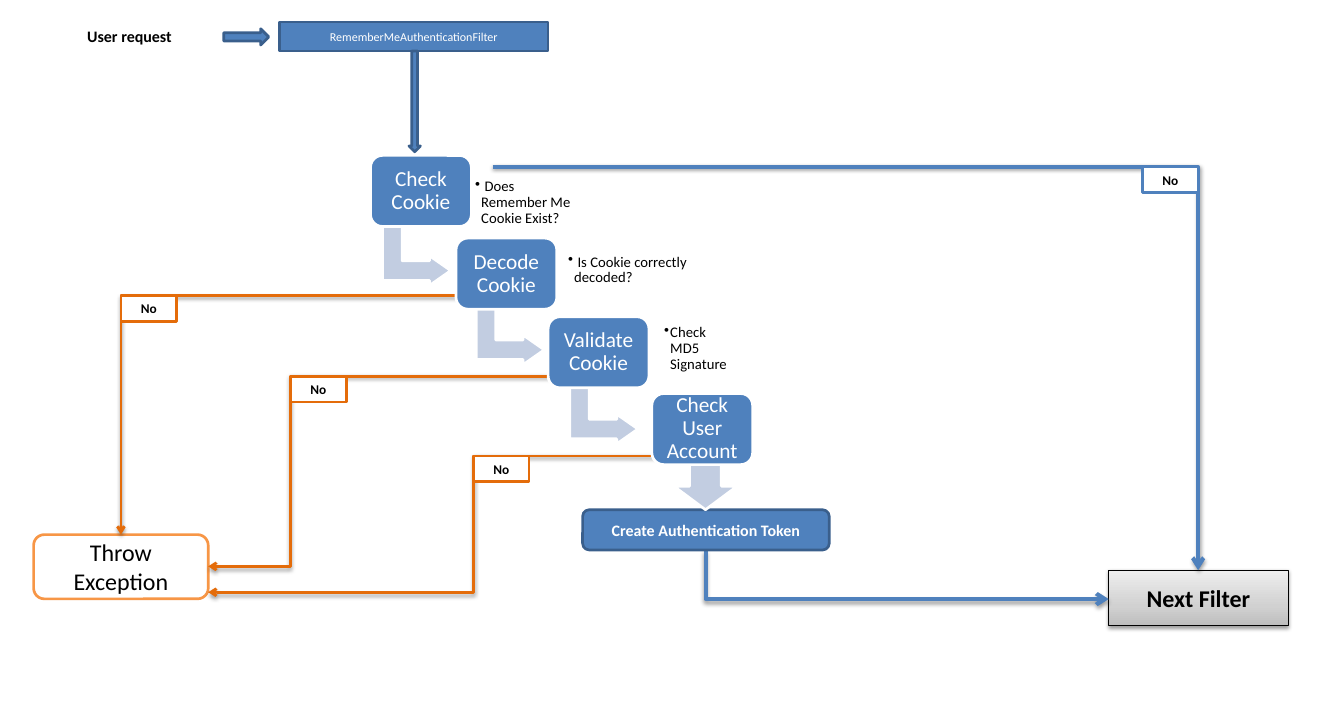
from copy import deepcopy
from pptx import Presentation
from pptx.dml.color import RGBColor as RGB
from pptx.enum.shapes import MSO_CONNECTOR as Link, MSO_SHAPE as Kind
from pptx.enum.text import MSO_ANCHOR as Anchor, PP_ALIGN as Align
from pptx.oxml import parse_xml
from pptx.oxml.ns import nsdecls, qn
from pptx.util import Pt

HEX = {"blue": "4F81BD", "navy": "3A5F8C", "pale": "C2CDE1", "rust": "E46C0A",
       "orange": "F79646", "white": "FFFFFF", "black": "000000"}
GRAY = [(0, "BDBDBD"), (0.35, "D1D1D1"), (1, "EEEEEE")]

STEP = (75.6, 53.3)
STEPS = [("Check Cookie", 277.9, 116.6), ("Decode Cookie", 342, 178.6),
         ("Validate Cookie", 411.1, 237.6), ("Check User Account", 488.9, 295.2)]
NOTES = [(" Does Remember Me Cookie Exist?", (352.8, 130.3, 87.1, 43.9)),
         (" Is Cookie correctly decoded?", (422.6, 183.6, 124.6, 38.2)),
         ("Check MD5 Signature", (494.6, 240.5, 54.7, 42.5))]
TURN = (290.2, 166.3, 44.6, 51.1)
TURN_GAP = (70.2, 59.4)

# start, end, x of the bend, colour, line width, arrow end
ROUTES = [
    ((369.4, 125.3), (898.6, 427.7), 898.6, "blue", 3, "tail"),
    ((344.2, 221.8), (90.7, 401), 90.7, "rust", 2, "tail"),
    ((445, 282.2), (156.2, 424.8), 217.6, "rust", 2, "tail"),
    ((554.4, 342), (156.2, 444.2), 355.3, "rust", 2, "tail"),
    ((831.6, 449.3), (529.2, 412.6), 529.2, "blue", 3, "head"),
]
TAG = (41.8, 19.4)
TAGS = [(898.6 - TAG[0], 125.3, "blue"), (90.7, 221.8, "rust"),
        (217.9, 282.2, "rust"), (355, 342, "rust")]

deck = Presentation()
deck.slide_width, deck.slide_height = Pt(1008), Pt(540)
shapes = deck.slides.add_slide(deck.slide_layouts[6]).shapes


def tint(name):
    return RGB.from_string(HEX[name])


def write(shape, text, size, color="white", bold=False, align=Align.CENTER,
          anchor=Anchor.MIDDLE, inset=None, space=None):
    frame = shape.text_frame
    frame.word_wrap = True
    frame.vertical_anchor = anchor
    if inset is not None:
        frame.margin_left = frame.margin_right = Pt(inset)
        frame.margin_top = frame.margin_bottom = Pt(inset)
    para = frame.paragraphs[0]
    para.text = text
    para.alignment = align
    para.line_spacing = space
    font = para.font
    font.name, font.size, font.bold = "Calibri", Pt(size), bold
    font.color.rgb = tint(color)
    return para


def draw(kind, at, fill="blue", line="navy", width=2, adj=(), turn=0):
    shape = shapes.add_shape(kind, *map(Pt, at))
    shape.shadow.inherit = False
    shape.fill.solid()
    shape.fill.fore_color.rgb = tint(fill)
    shape.line.color.rgb = tint(line)
    shape.line.width = Pt(width)
    for i, part in enumerate(adj):
        shape.adjustments[i] = part
    shape.rotation = turn
    return shape


def shade(shape):
    """Give a soft shadow straight below the shape."""
    props = shape._element.spPr
    old = props.find(qn("a:effectLst"))
    if old is not None:
        props.remove(old)
    props.append(parse_xml(
        f'<a:effectLst {nsdecls("a")}><a:outerShdw blurRad="{Pt(3.1)}" '
        f'dist="{Pt(1.6)}" dir="5400000" rotWithShape="0"><a:srgbClr val="000000">'
        '<a:alpha val="38000"/></a:srgbClr></a:outerShdw></a:effectLst>'))


def route(start, end, bend, color, width, tip):
    """Run level from start to the bend, then upright, then level to end."""
    link = shapes.add_connector(Link.ELBOW, *map(Pt, start + end))
    link.line.color.rgb = tint(color)
    link.line.width = Pt(width)
    props = link._element.spPr
    props.find(qn("a:ln")).append(
        parse_xml(f'<a:{tip}End {nsdecls("a")} type="arrow"/>'))
    geom = props.find(qn("a:prstGeom"))
    if bend == end[0]:
        geom.set("prst", "bentConnector2")
    else:
        part = round((bend - start[0]) / (end[0] - start[0]) * 100000)
        for old in list(geom):
            geom.remove(old)
        geom.append(parse_xml(f'<a:avLst {nsdecls("a")}>'
                              f'<a:gd name="adj1" fmla="val {part}"/></a:avLst>'))
    shade(link)


def blend(fill):
    """Fill with the gray stops, dark at the foot."""
    fill.gradient()
    fill.gradient_angle = 90
    first = fill.gradient_stops[0]._gs
    first.addnext(deepcopy(first))
    for stop, (place, color) in zip(fill.gradient_stops, GRAY):
        stop.position = place
        stop.color.rgb = RGB.from_string(color)


# Request and its filter
write(draw(Kind.RECTANGLE, (209.5, 16.6, 201.6, 21.6)),
      "RememberMeAuthenticationFilter", 9)
draw(Kind.RIGHT_ARROW, (167.8, 21.6, 33.8, 12.2))
write(shapes.add_textbox(*map(Pt, (58.3, 16.6, 110.9, 21.6))), "User request", 12,
      "black", True, Align.LEFT, Anchor.TOP)
draw(Kind.DOWN_ARROW, (306.7, 38.2, 8.6, 75.6))

# Outcomes
after = draw(Kind.RECTANGLE, (831.6, 427.7, 134.6, 41.8), line="black", width=0.75)
blend(after.fill)
shade(after)
write(after, "Next Filter", 18, "black", True)
write(draw(Kind.ROUNDED_RECTANGLE, (25.2, 401, 131, 48.2), "white", "orange"),
      "Throw Exception", 18, "black")

for row in ROUTES:
    route(*row)
for x, y, color in TAGS:
    write(draw(Kind.RECTANGLE, (x, y, *TAG), "white", color), "No", 10, "black", True,
          anchor=Anchor.TOP)

write(draw(Kind.ROUNDED_RECTANGLE, (437, 382.3, 185, 30.2)),
      "Create Authentication Token", 12, bold=True)
draw(Kind.DOWN_ARROW, (505.4, 347, 47.5, 35.3), "pale", "white")

# Staircase of checks
x, y, *size = TURN
for i in range(len(STEPS) - 1):
    draw(Kind.BENT_UP_ARROW, (x + i * TURN_GAP[0], y + i * TURN_GAP[1], *size),
         "pale", "white", adj=(0.328, 0.25, 0.358), turn=90)
for text, left, top in STEPS:
    write(draw(Kind.ROUNDED_RECTANGLE, (left, top, *STEP), line="white", adj=[0.167]),
          text, 16, inset=7.5, space=0.9)
for text, at in NOTES:
    para = write(shapes.add_textbox(*map(Pt, at)), text, 11, "black",
                 align=Align.LEFT, inset=3.6, space=0.9)
    props = para._p.get_or_add_pPr()
    props.set("marL", str(Pt(4.5)))
    props.set("indent", str(-Pt(4.5)))
    bullet = parse_xml(f'<a:buChar {nsdecls("a")} char="•"/>')
    props.find(qn("a:defRPr")).addprevious(bullet)

deck.save("out.pptx")
